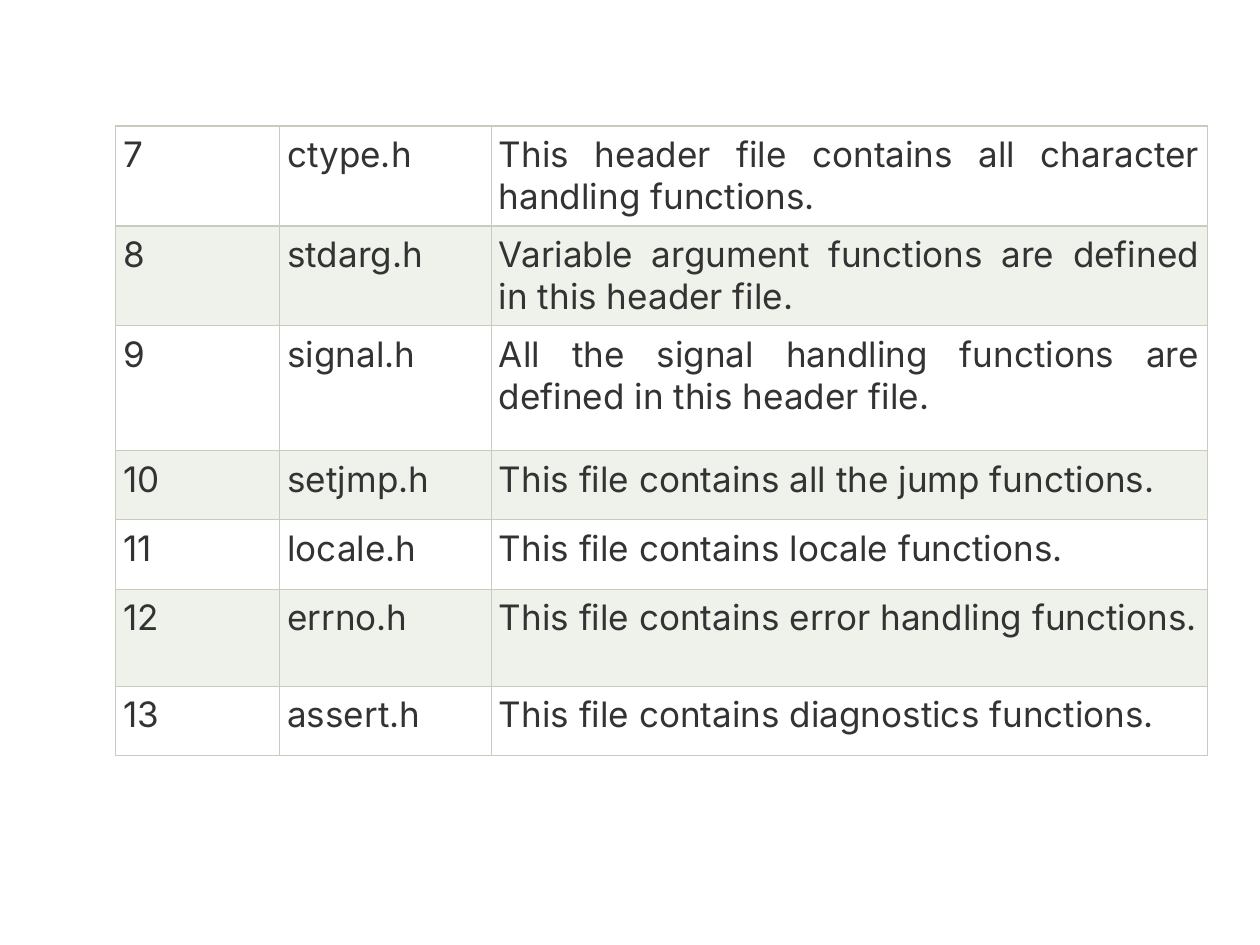
from dataclasses import dataclass

from lxml import etree
from pptx import Presentation
from pptx.dml.color import RGBColor
from pptx.enum.text import PP_ALIGN
from pptx.oxml.ns import qn
from pptx.slide import Slide
from pptx.util import Inches, Pt

JUSTIFY = PP_ALIGN.JUSTIFY
COLORS = {"text": "333333", "border": "C7CCBE", "plain": "FFFFFF", "band": "EFF1EB"}
COLUMN_WIDTHS = (1.3, 1.68, 5.68)
HEADER_FILES = (
    ("7", "ctype.h", "This header file contains all character handling functions.", 0.77),
    ("8", "stdarg.h", "Variable argument functions are defined in this header file.", 0.77),
    ("9", "signal.h", "All the signal handling functions are defined in this header file.", 0.99),
    ("10", "setjmp.h", "This file contains all the jump functions.", 0.55),
    ("11", "locale.h", "This file contains locale functions.", 0.55),
    ("12", "errno.h", "This file contains error handling functions.", 0.77),
    ("13", "assert.h", "This file contains diagnostics functions.", 0.55),
)


def write_text(text_frame, text, font="Inter", size=20, color="text", align=JUSTIFY):
    """Write one formatted paragraph into a text frame."""
    paragraph = text_frame.paragraphs[0]
    paragraph.alignment = align
    run = paragraph.add_run()
    run.text = text
    run.font.name = font
    run.font.size = Pt(size)
    run.font.color.rgb = RGBColor.from_string(COLORS[color])


@dataclass
class SlideBuilder:
    """Hold the table style and the current slide."""

    slide: Slide
    inset: float = 0.06
    border_width: float = 0.75

    def add_borders(self, cell):
        """Draw the four borders of a cell."""
        properties = cell._tc.get_or_add_tcPr()
        for side in ("a:lnL", "a:lnR", "a:lnT", "a:lnB"):
            line = etree.SubElement(properties, qn(side), w=str(Pt(self.border_width)))
            fill = etree.SubElement(line, qn("a:solidFill"))
            etree.SubElement(fill, qn("a:srgbClr"), val=COLORS["border"])

    def add_cell(self, cell, text, fill):
        """Format a table cell and write its text."""
        cell.margin_left = cell.margin_right = Inches(self.inset)
        cell.margin_top = cell.margin_bottom = Inches(self.inset)
        self.add_borders(cell)
        cell.fill.solid()
        cell.fill.fore_color.rgb = RGBColor.from_string(COLORS[fill])
        write_text(cell.text_frame, text)

    def add_table(self, left, top, widths, records):
        """Add a banded table whose records end with their row height."""
        height = sum(record[-1] for record in records)
        shape = self.slide.shapes.add_table(
            len(records), len(widths),
            Inches(left), Inches(top), Inches(sum(widths)), Inches(height),
        )
        table = shape.table
        table.first_row = table.horz_banding = False
        for column, width in zip(table.columns, widths):
            column.width = Inches(width)
        for index, (row, record) in enumerate(zip(table.rows, records)):
            *texts, row_height = record
            row.height = Inches(row_height)
            for cell, text in zip(row.cells, texts):
                self.add_cell(cell, text, "band" if index % 2 else "plain")


def main():
    """Build and save the slide of header files."""
    presentation = Presentation()
    presentation.slide_width = Inches(10)
    presentation.slide_height = Inches(7.5)
    slide = presentation.slides.add_slide(presentation.slide_layouts[6])
    SlideBuilder(slide).add_table(0.92, 1, COLUMN_WIDTHS, HEADER_FILES)
    presentation.save("out.pptx")


if __name__ == "__main__":
    main()
